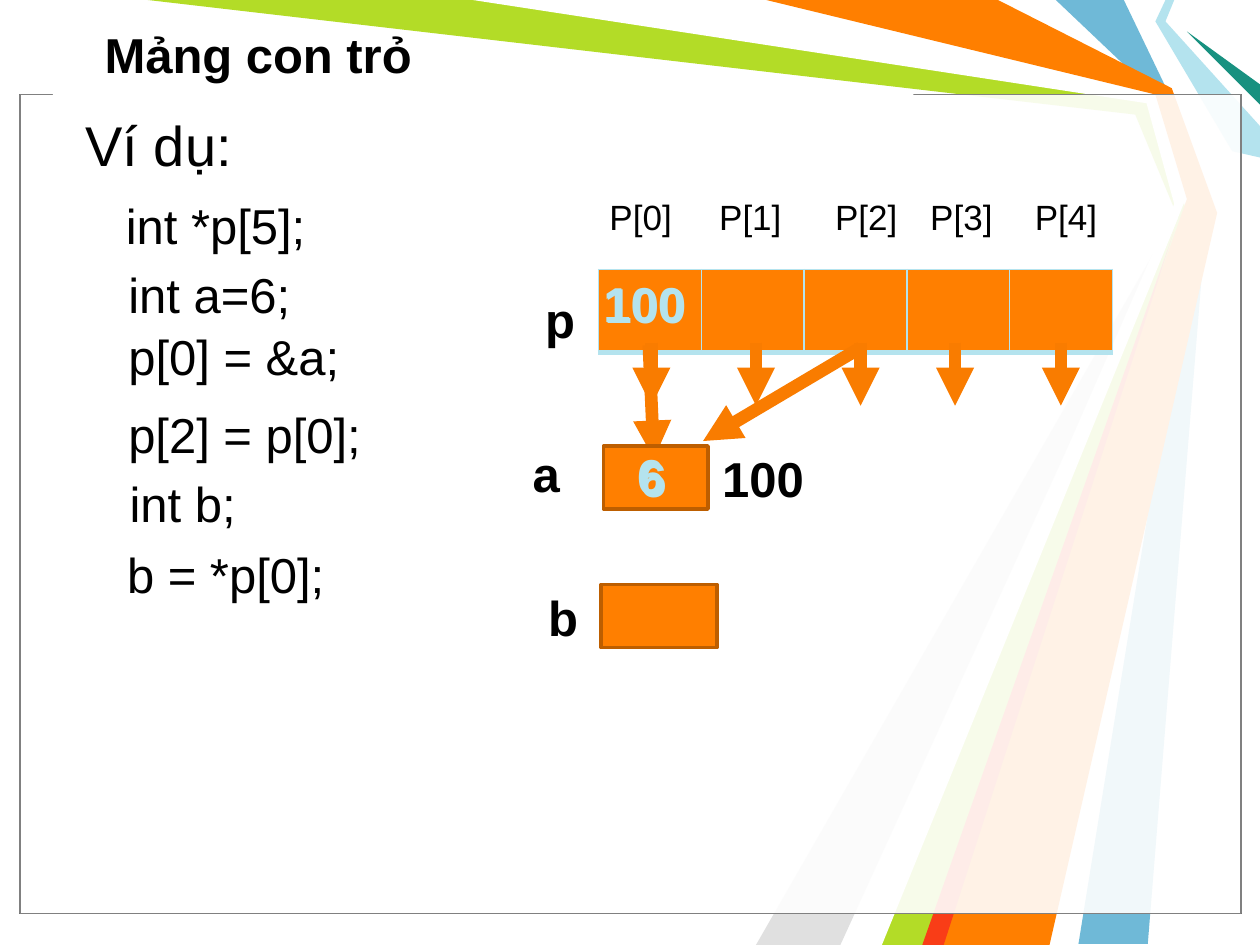
from pptx import Presentation
from pptx.dml.color import RGBColor
from pptx.enum.shapes import MSO_CONNECTOR as Connector, MSO_SHAPE as Preset
from pptx.enum.text import MSO_ANCHOR as Anchor, MSO_AUTO_SIZE as AutoSize, PP_ALIGN as Align
from pptx.oxml import parse_xml
from pptx.oxml.ns import nsdecls, qn
from pptx.util import Inches, Pt
from lxml.etree import SubElement
from dataclasses import dataclass


@dataclass(frozen=True)
class Theme:
    font: str = "Arial"
    ink: str = "000000"
    paper: str = "FFFFFF"
    orange: str = "FF7F00"
    rim: str = "BD5E00"
    arrow: str = "F97C00"
    pale: str = "B4E3EE"
    blue: str = "6FB9D7"
    lime: str = "B3DC27"
    silver: str = "E0E0E0"
    teal: str = "189180"
    red: str = "F93D17"
    frame: str = "808080"
    heading: int = 32
    code: int = 28
    index: int = 20


theme = Theme()
rgb = RGBColor.from_string
deck = Presentation()
deck.slide_width, deck.slide_height = Inches(10), Inches(7.5)
COL, ROW = deck.slide_width / 100, deck.slide_height / 75
slide = deck.slides.add_slide(deck.slide_layouts[1])
shapes = slide.shapes


def grid(x, y, w, h):
    return [round(v) for v in (x * COL, y * ROW, w * COL, h * ROW)]


def write(frame, words, size, color=theme.ink, bold=False, align=Align.LEFT):
    frame.word_wrap = True
    paragraph = frame.paragraphs[0]
    paragraph.alignment = align
    run = paragraph.add_run()
    run.text = words
    run.font.name, run.font.size, run.font.bold = theme.font, Pt(size), bold
    run.font.color.rgb = rgb(color)


ribbons = [
    (theme.blue, [(89.2, 0), (92.9, 7.7), (95.8, 16.7), (91.1, 74.9), (85.6, 74.9),
                  (95, 16.7), (91.7, 7.5), (83.8, 0)]),
    (theme.lime, [(11.7, 0), (38.3, 0), (91.4, 7.8), (94.2, 16.9), (74.2, 75),
                  (69.2, 75), (93.5, 17.3), (90.1, 9.1)]),
    (theme.silver, [(66.7, 75), (92.7, 18.1), (60, 75)]),
    (theme.paper, [(37.5, 0), (91, 8.2), (93.2, 16.2), (67.5, 75), (70, 75),
                   (94.1, 15.8), (91.7, 7.5), (60, 0)]),
    (theme.pale, [(92.5, 0), (91.7, 1.7), (97.8, 12), (100, 12.5), (100, 10),
                  (92.5, 1.7), (93.2, 0)]),
    (theme.teal, [(100, 8.3), (94.2, 2.5), (100, 6.7)]),
    (theme.orange, [(60.8, 0), (79.2, 0), (93, 7), (96.6, 16.9), (83.3, 75),
                    (73.3, 75), (94.2, 15.8), (91.7, 7.5)]),
    (theme.red, [(73.2, 75), (93.2, 18.3), (74.9, 75)]),
]
for color, corners in ribbons:
    points = [(round(x * 10), round(y * 10)) for x, y in corners]
    outline = shapes.build_freeform(*points[0], scale=(COL / 10, ROW / 10))
    outline.add_line_segments(points[1:], close=True)
    ribbon = outline.convert_to_shape()
    ribbon.shadow.inherit = False
    ribbon.fill.solid()
    ribbon.fill.fore_color.rgb = rgb(color)
    ribbon.line.fill.background()

panels = [
    (1.6, 7.5, 96.9, 65, theme.ink, 69000),
    (1.6, 7.5, 96.9, 65, theme.frame, 69000),
    (4.2, 7.4, 68.3, 1.7, None, None),
]
for *area, edge, opacity in panels:
    panel = shapes.add_shape(Preset.RECTANGLE, *grid(*area))
    panel.shadow.inherit = False
    panel.fill.solid()
    panel.fill.fore_color.rgb = rgb(theme.paper)
    if edge:
        tint = panel.fill._xPr.find(qn("a:solidFill"))[0]
        SubElement(tint, qn("a:alpha"), val=str(opacity))
        panel.line.color.rgb = rgb(edge)
        panel.line.width = Pt(0.75)
    else:
        panel.line.fill.background()

title, body = shapes.title, slide.placeholders[1]
for holder, area in ((title, (7.3, 0.8, 91.1, 6.9)), (body, (5.8, 8.3, 86.7, 56.7))):
    holder.left, holder.top, holder.width, holder.height = grid(*area)
    holder.text_frame.auto_size = AutoSize.NONE
    shapes._spTree.append(holder._element)
title.text_frame.vertical_anchor = Anchor.MIDDLE
write(title.text_frame, "Mảng con trỏ", theme.code, bold=True)
body.text_frame.vertical_anchor = Anchor.TOP
example = body.text_frame.paragraphs[0]
example.space_before = Pt(0)
layout = example._p.get_or_add_pPr()
layout.set("marL", str(Inches(0.38)))
layout.set("indent", str(-Inches(0.38)))
SubElement(layout, qn("a:buNone"))
write(body.text_frame, "Ví dụ:", theme.heading)

pointers = shapes.add_table(1, 5, *grid(47.5, 21.4, 40.8, 6.6)).table
for cell in pointers.rows[0].cells:
    cell.fill.solid()
    cell.fill.fore_color.rgb = rgb(theme.orange)
    borders = (("lnL", 1), ("lnR", 1), ("lnT", 1), ("lnB", 3))
    for place, (side, width) in enumerate(borders):
        cell._tc.get_or_add_tcPr().insert(place, parse_xml(
            f'<a:{side} {nsdecls("a")} w="{Pt(width)}"><a:solidFill>'
            f'<a:srgbClr val="{theme.pale}"/></a:solidFill></a:{side}>'))

arrows = [(x, 27.2, x, 32.2) for x in (51.7, 60, 68.3, 75.8, 84.2)]
arrows += [(51.5, 27.4, 51.9, 36.4), (68.3, 27.6, 55.8, 35)]
for ends in arrows:
    arrow = shapes.add_connector(Connector.STRAIGHT, *grid(*ends))
    arrow.line.color.rgb = rgb(theme.arrow)
    arrow.line.width = Pt(7.25)
    SubElement(arrow.line._get_or_add_ln(), qn("a:tailEnd"), type="triangle")
    SubElement(arrow._element.spPr, qn("a:effectLst"))

for area in ((47.9, 35.4, 8.3, 5), (47.7, 46.4, 9.2, 5)):
    variable = shapes.add_shape(Preset.RECTANGLE, *grid(*area))
    variable.shadow.inherit = False
    variable.fill.solid()
    variable.fill.fore_color.rgb = rgb(theme.orange)
    variable.line.color.rgb = rgb(theme.rim)
    variable.line.width = Pt(2)

code = (theme.code, theme.ink, False, Align.LEFT)
name = (theme.code, theme.ink, True, Align.CENTER)
value = (theme.code, theme.pale, True, Align.CENTER)
address = (theme.code, theme.pale, True, Align.LEFT)
index = (theme.index, theme.ink, False, Align.CENTER)
labels = [
    ("int *p[5];", 9, 15, 20.8, code),
    ("int a=6;", 9.2, 20.5, 16.7, code),
    ("p[0] = &a;", 9.2, 25.4, 22.5, code),
    ("p[2] = p[0];", 9.2, 31.6, 23.3, code),
    ("int b;", 9.3, 37.1, 12.5, code),
    ("b = *p[0];", 9.1, 42.7, 20.8, code),
    ("p", 41.1, 22.5, 6.7, name),
    ("a", 40, 34.7, 6.7, name),
    ("b", 41.8, 46.1, 5.8, name),
    ("100", 54.7, 35.1, 11.7, name),
    ("100", 47, 21.3, 10, address),
    ("100", 46.9, 21.2, 10.8, address),
    ("6", 47.5, 34.9, 8.3, value),
    ("6", 47.7, 35.1, 8.3, value),
]
slots = ((46.7, 8.3), (55.8, 7.5), (65, 7.5), (71.7, 9.2), (80, 9.2))
labels += [(f"P[{i}]", x, 15, w, index) for i, (x, w) in enumerate(slots)]
for words, x, y, w, style in labels:
    height = 4.4 if style is index else 5.7
    label = shapes.add_textbox(*grid(x, y, w, height))
    write(label.text_frame, words, *style)

deck.save("out.pptx")
